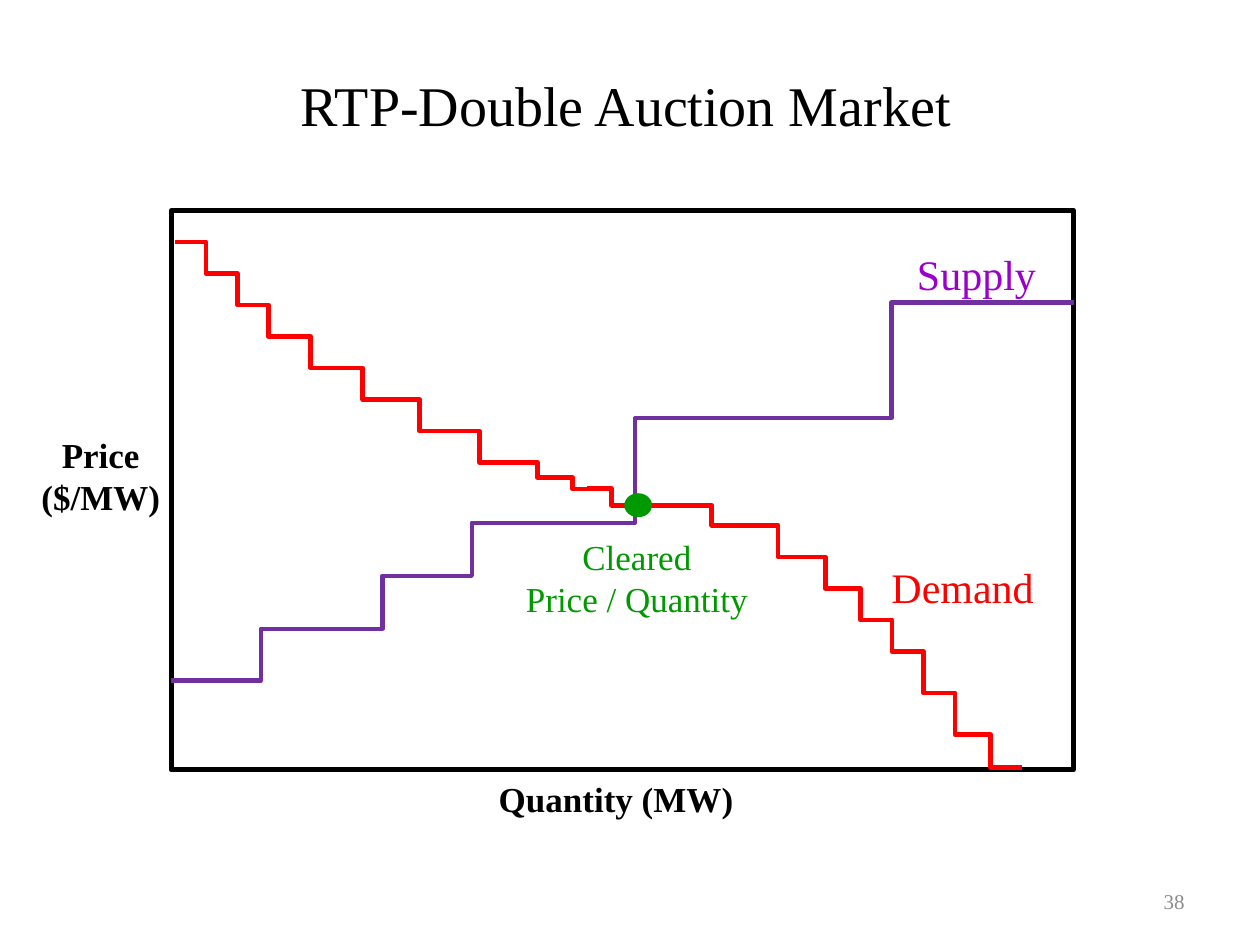
from lxml import etree
from pptx import Presentation, util as u
from pptx.dml.color import RGBColor
from pptx.enum import shapes, text
from pptx.oxml.ns import qn

COLUMNS, ROWS = 100, 75
FONT = "Times New Roman"
COLORS = {"black": "000000", "gray": "8C8C8C", "demand": "FF0000", "supply": "7030A0",
          "supply label": "9900CC", "cleared": "009900"}
ALIGN = text.PP_ALIGN
TOP, MIDDLE = text.MSO_ANCHOR.TOP, text.MSO_ANCHOR.MIDDLE

FRAME = (13.6, 16.7, 71.6, 44.4)
CLEARED_POINT = (49.6, 39.2, 2.1, 1.8)

LABELS = [
    (["RTP-Double Auction Market"], (5.3, 4.2, 88.8, 8.1), 32, "black", False, ALIGN.CENTER, MIDDLE, True),
    (["38"], (71.7, 69.5, 23.3, 4), 12, "gray", False, ALIGN.RIGHT, MIDDLE, True),
    (["Demand"], (68.6, 44.1, 15.6, 5), 24, "demand", False, ALIGN.CENTER, TOP, True),
    (["Supply"], (71.7, 19.2, 11.6, 5), 24, "supply label", False, ALIGN.CENTER, TOP, False),
    (["Cleared", "Price / Quantity"], (40.7, 42, 19.7, 7.7), 20, "cleared", False, ALIGN.CENTER, TOP, False),
    (["Quantity (MW)"], (33.1, 61.2, 26.1, 5.4), 20, "black", True, ALIGN.RIGHT, TOP, False),
    (["Price\v($/MW)"], (0.8, 33.9, 14.4, 9.6), 20, "black", True, ALIGN.CENTER, TOP, False),
]

# (start column, end column, end row, share of the width at which the step turns)
HALF = 0.5
CURVES = [
    ("supply", 2.5, 54, [
        (13.6, 27.8, 49.9, HALF), (23.3, 37.4, 45.7, HALF), (30.4, 44.5, 41.5, HALF),
        (43.7, 57.1, 33.2, HALF), (56.3, 85.2, 24, HALF)]),
    ("demand", 2.75, 19.2, [
        (13.9, 18.8, 21.7, HALF), (16.4, 21.3, 24.2, HALF), (18.8, 23.8, 26.7, HALF),
        (22.2, 27.1, 29.2, HALF), (26.3, 31.3, 31.7, HALF), (30.8, 35.8, 34.2, HALF),
        (35.6, 40.5, 36.7, HALF), (39.8, 45.5, 37.9, HALF), (42.6, 48, 38.8, 0.53),
        (46.6, 53.8, 40.1, 0.27), (52.9, 60.1, 41.7, HALF), (58, 65.5, 44.2, HALF),
        (63, 68, 46.7, HALF), (65.8, 70.8, 49.2, HALF), (68.3, 73.3, 51.7, HALF),
        (70.8, 75.8, 55, HALF), (73.3, 78.3, 58.3, HALF), (76.1, 81.1, 60.9, HALF)]),
]

presentation = Presentation()
presentation.slide_width, presentation.slide_height = u.Inches(10), u.Inches(7.5)
slide = presentation.slides.add_slide(presentation.slide_layouts[6])


def place(*cells):
    sizes = (presentation.slide_width / COLUMNS, presentation.slide_height / ROWS)
    return [round(cell * sizes[index % 2]) for index, cell in enumerate(cells)]


def color(name):
    return RGBColor.from_string(COLORS[name])


def add_label(lines, box, size, name, bold, align, anchor, wrap):
    frame = slide.shapes.add_textbox(*place(*box)).text_frame
    frame.word_wrap, frame.vertical_anchor = wrap, anchor
    frame.text = "\n".join(lines)
    for paragraph in frame.paragraphs:
        paragraph.alignment = align
        font = paragraph.font
        font.name, font.size, font.bold = FONT, u.Pt(size), bold
        font.color.rgb = color(name)


def add_outline(kind, box, name, width, filled):
    shape = slide.shapes.add_shape(kind, *place(*box))
    shape.shadow.inherit = False
    shape.line.color.rgb, shape.line.width = color(name), u.Pt(width)
    if filled:
        shape.fill.solid()
        shape.fill.fore_color.rgb = color(name)
    else:
        shape.fill.background()


def add_step(start, end, name, width, turn):
    step = slide.shapes.add_connector(shapes.MSO_CONNECTOR.ELBOW, *place(*start, *end))
    step.line.color.rgb, step.line.width = color(name), u.Pt(width)
    properties = step._element.spPr
    etree.SubElement(properties, qn("a:effectLst"))
    if turn != HALF:
        guides = properties.find(qn("a:prstGeom")).find(qn("a:avLst"))
        etree.SubElement(guides, qn("a:gd"), name="adj1", fmla=f"val {round(turn * 100000)}")


for label in LABELS:
    add_label(*label)

add_outline(shapes.MSO_SHAPE.RECTANGLE, FRAME, "black", 3, False)
for name, width, row, steps in CURVES:
    for left, right, end_row, turn in steps:
        add_step((left, row), (right, end_row), name, width, turn)
        row = end_row
add_outline(shapes.MSO_SHAPE.OVAL, CLEARED_POINT, "cleared", 0.75, True)

presentation.save("out.pptx")
